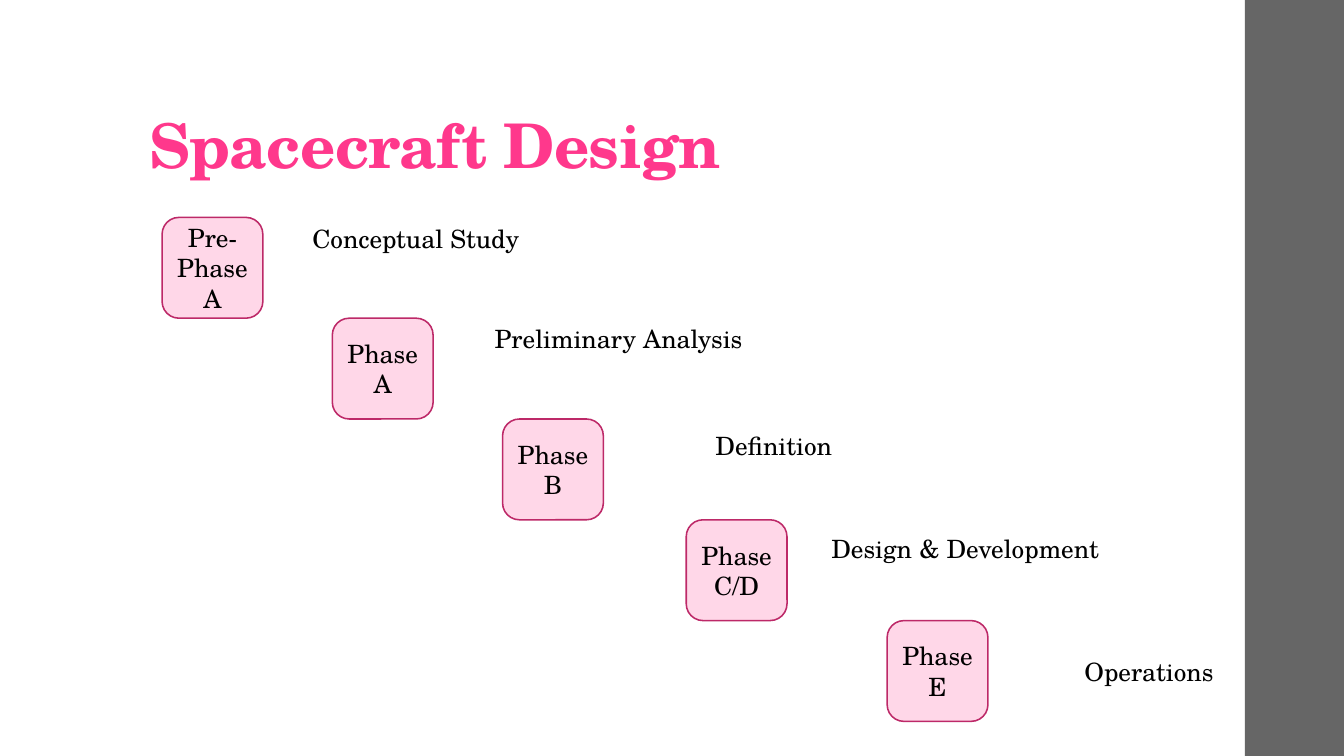
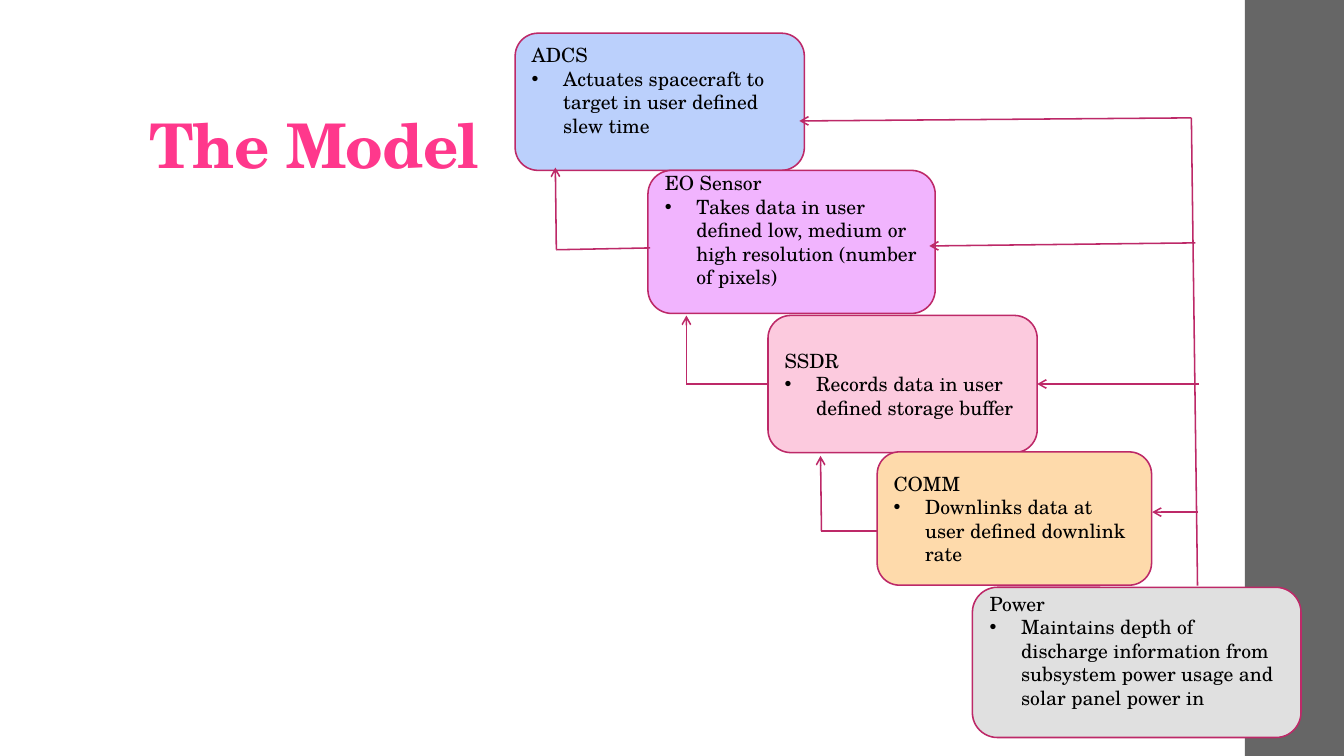
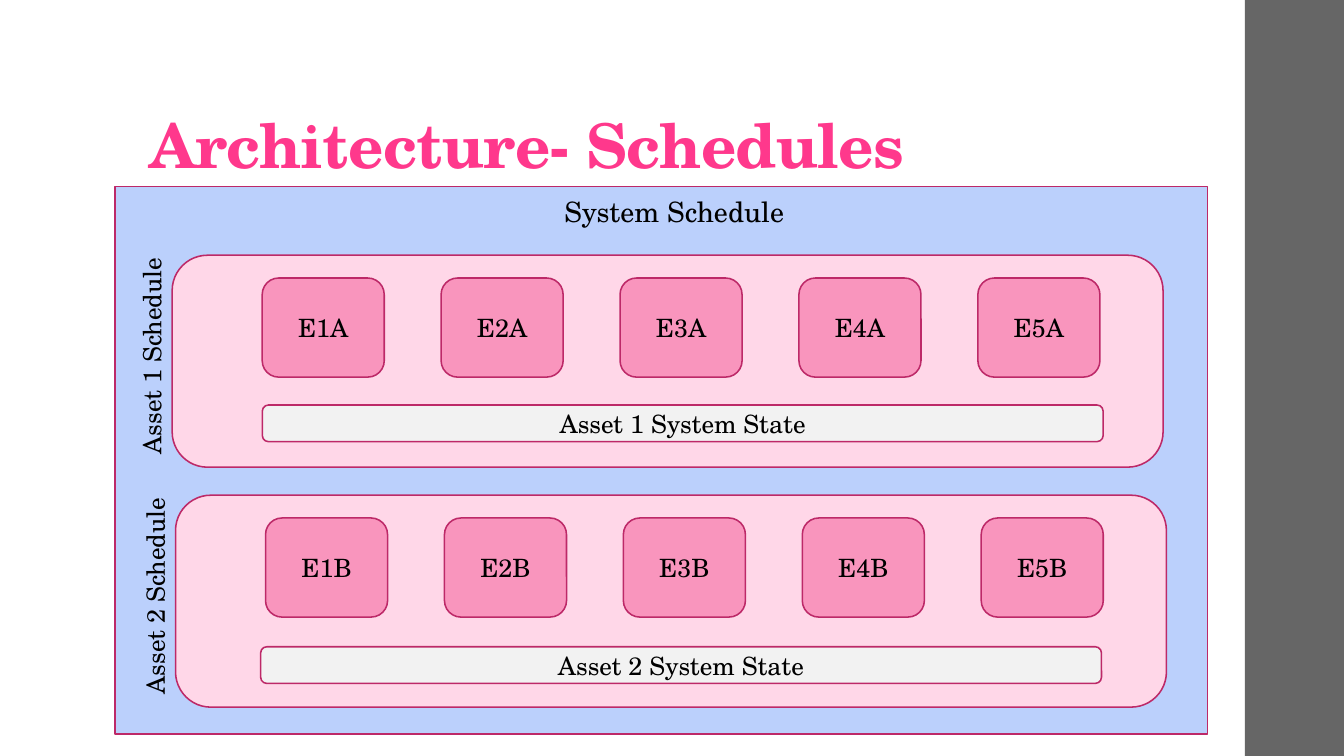
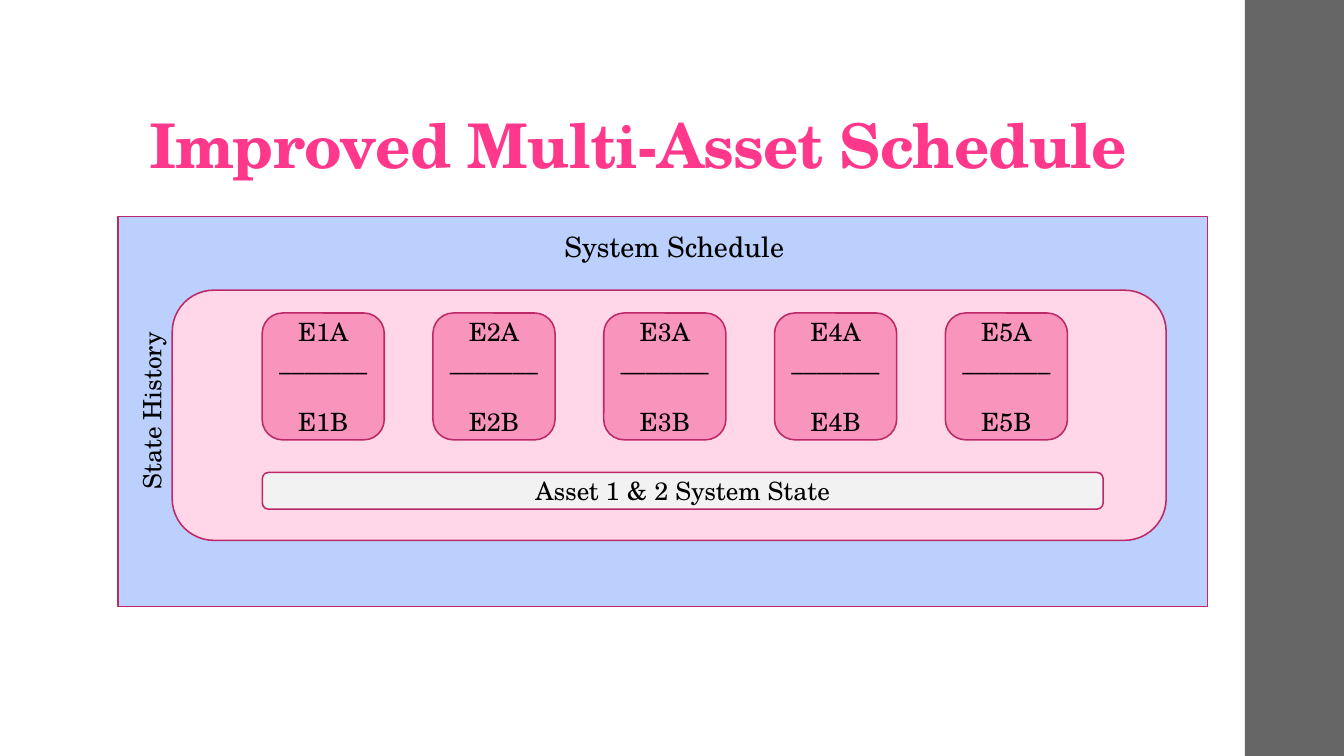
from dataclasses import dataclass

from lxml import etree
from pptx import Presentation
from pptx.dml.color import RGBColor
from pptx.enum import shapes, text
from pptx.oxml import ns
from pptx.util import Pt


@dataclass(frozen=True)
class Theme:
    font: str = "TeX Gyre Schola"
    ink: str = "000000"
    title: str = "FF388C"
    band: str = "666666"
    outline: str = "BD2968"
    pale_pink: str = "FFD7E8"
    pink: str = "F995BD"
    rose: str = "FCCADE"
    blue: str = "BBD0FC"
    violet: str = "F1B4FE"
    orange: str = "FEDAAB"
    grey: str = "E0E0E0"
    pale_grey: str = "F2F2F2"
    title_size: int = 44
    heading_size: int = 20
    body_size: int = 18
    small_size: int = 14
    line_width: float = 1.1
    line_height: float = 1.2


theme = Theme()
RECT = shapes.MSO_SHAPE.RECTANGLE
ROUNDED = shapes.MSO_SHAPE.ROUNDED_RECTANGLE


def add_box(slide, left, top, width, height, words="", fill=None,
            outline=theme.outline, size=theme.body_size, color=theme.ink, kind=ROUNDED):
    """Add an outlined shape with centred text, or a plain text box if there is no fill."""
    place = Pt(left), Pt(top), Pt(width), Pt(height)
    if fill:
        box = slide.shapes.add_shape(kind, *place)
        box.shadow.inherit = False
        box.fill.solid()
        box.fill.fore_color.rgb = RGBColor.from_string(fill)
        if outline:
            box.line.color.rgb = RGBColor.from_string(outline)
            box.line.width = Pt(theme.line_width)
        else:
            box.line.fill.background()
    else:
        box = slide.shapes.add_textbox(*place)
    frame = box.text_frame
    frame.word_wrap = True
    if words:
        frame.text = words
    for paragraph in frame.paragraphs:
        paragraph.alignment = text.PP_ALIGN.CENTER if fill else text.PP_ALIGN.LEFT
        for run in paragraph.runs:
            run.font.name = theme.font
            run.font.size = Pt(size)
            run.font.color.rgb = RGBColor.from_string(color)
    return box


def add_line(slide, x1, y1, x2, y2, arrow=False):
    line = slide.shapes.add_connector(
        shapes.MSO_CONNECTOR.STRAIGHT, Pt(x1), Pt(y1), Pt(x2), Pt(y2))
    line.line.color.rgb = RGBColor.from_string(theme.outline)
    line.line.width = Pt(theme.line_width)
    if arrow:
        etree.SubElement(line.line._get_or_add_ln(), ns.qn("a:tailEnd"), type="arrow")
    etree.SubElement(line._element.spPr, ns.qn("a:effectLst"))
    return line


deck = Presentation()
deck.slide_width, deck.slide_height = Pt(960), Pt(540)

# Side band and title on every slide
titles = ["Spacecraft Design", "The Model", "Architecture- Schedules",
          "Improved Multi-Asset Schedule"]
slides = []
for words in titles:
    slide = deck.slides.add_slide(deck.slide_layouts[6])
    slides.append(slide)
    add_box(slide, 889.2, 0, 70.8, 540, fill=theme.band, outline=None, kind=RECT)
    title = add_box(slide, 99.4, 20.9, 763, 112.3, words,
                    size=theme.title_size, color=theme.title).text_frame
    title.vertical_anchor = text.MSO_ANCHOR.BOTTOM
    title.paragraphs[0].line_spacing = 0.9
    heading = title.paragraphs[0].runs[0]
    heading.font.bold = True
    heading.font._element.set("spc", "-50")
design, model, schedules, improved = slides

# Spacecraft Design: a staircase of phases, each with its meaning
phase_side = 72
phases = [
    ("Pre-Phase\vA", 115.8, "Conceptual Study", 216, 156.2),
    ("Phase\vA", 237.4, "Preliminary Analysis", 346.3, 227.5),
    ("Phase\vB", 359, "Definition", 504, 303.8),
    ("Phase C/D", 490.2, "Design & Development", 586.8, 377.3),
    ("Phase E", 633.7, "Operations", 767.5, 465.1),
]
for step, (phase, left, meaning, meaning_left, meaning_top) in enumerate(phases):
    add_box(design, left, 155.3 + step * phase_side, phase_side, phase_side,
            phase, theme.pale_pink)
    add_box(design, meaning_left, meaning_top, 238 if step < 4 else 190, 29, meaning)

# The Model: subsystems; the last field is the number of lines left free at the foot
subsystems = [
    ("ADCS", "Actuates spacecraft to target in user defined slew time",
     theme.blue, (368, 23.7, 206.6, 98), 1),
    ("EO Sensor", "Takes data in user defined low, medium or high resolution (number of pixels)",
     theme.violet, (462.8, 121.7, 205.2, 102.2), 1),
    ("SSDR", "Records data in user defined storage buffer",
     theme.rose, (548.6, 225.3, 192.3, 98), 0),
    ("COMM", "Downlinks data at user defined downlink rate",
     theme.orange, (626.6, 322.8, 196, 95.2), 0),
    ("Power", "Maintains depth of discharge information from subsystem power usage "
     "and solar panel power in", theme.grey, (694.6, 419.5, 234.7, 107.3), 1),
]
subsystem_boxes = {}
for subsystem, task, fill, place, free_lines in subsystems:
    box = add_box(model, *place, f"{subsystem}\n{task}", fill, size=theme.small_size)
    subsystem_boxes[subsystem] = box
    frame = box.text_frame
    frame.margin_bottom = Pt(3.6 + free_lines * theme.small_size * theme.line_height)
    for paragraph in frame.paragraphs:
        paragraph.alignment = text.PP_ALIGN.LEFT
    bullet = frame.paragraphs[1]._p.get_or_add_pPr()
    bullet.set("marL", str(Pt(22.5)))
    bullet.set("indent", str(-Pt(22.5)))
    etree.SubElement(bullet, ns.qn("a:buFont"), typeface="Arial")
    etree.SubElement(bullet, ns.qn("a:buChar"), char="•")

# Power supply: a trunk with an arrow to each subsystem
add_line(model, 851, 84.2, 855.4, 418.3)
add_line(model, 851, 84.2, 571, 86.4, arrow=True)
add_line(model, 853.9, 173.5, 663.8, 175.7, arrow=True)
add_line(model, 856.1, 274.3, 743, 274.3, arrow=True).end_connect(subsystem_boxes["SSDR"], 3)
add_line(model, 855.4, 365.8, 823, 365.8, arrow=True)

# Data flow: from the left side of a subsystem up to the one before
add_line(model, 397.4, 178.4, 464.4, 177.1)
add_line(model, 397.4, 178.4, 396.7, 119.7, arrow=True)
add_line(model, 490.3, 274.3, 548.6, 274.3).end_connect(subsystem_boxes["SSDR"], 1)
add_line(model, 490.3, 274.3, 490.3, 225.4, arrow=True)
add_line(model, 586.8, 379.4, 626.4, 379.4)
add_line(model, 586.8, 379.4, 586.1, 325.6, arrow=True)

# Both schedule slides: a system panel that holds one or two asset rows
for slide, panel, heading_top in [
    (schedules, (82, 133.2, 780.5, 391), 135.4),
    (improved, (84.2, 154.8, 778.3, 278.5), 160.6),
]:
    add_box(slide, *panel, fill=theme.blue, kind=RECT)
    add_box(slide, 396, heading_top, 175, 31.7, "System Schedule", size=theme.heading_size)

rows = [
    (schedules, (123, 182.3, 707.8, 151.4), "Asset 1 Schedule", "E{}A", 127.8, 70.8,
     "Asset 1 System State", (187.4, 289.3)),
    (schedules, (125.4, 353.7, 707.8, 151.4), "Asset 2 Schedule", "E{}B", 127.8, 70.8,
     "Asset 2 System State", (186.2, 462)),
    (improved, (123, 207.3, 710, 178.7), "State History", "E{0}A\n_______\nE{0}B", 122, 90.6,
     "Asset 1 & 2 System State", (187.4, 337.5)),
]
for slide, row, label, event, pitch, event_height, state, state_place in rows:
    left, top = row[:2]
    add_box(slide, *row, fill=theme.pale_pink)
    add_box(slide, left - 94.3, top + 55.2, 159.1, 29, label).rotation = 270
    for number in range(5):
        event_box = add_box(slide, left + 64.3 + number * pitch, top + 16.3, 87.2,
                            event_height, event.format(number + 1), theme.pink)
        for lower_event in event_box.text_frame.paragraphs[2:]:
            lower_event.space_before = Pt(theme.body_size * theme.line_height)
    add_box(slide, *state_place, 600.6, 26.2, state, theme.pale_grey)

deck.save("out.pptx")
